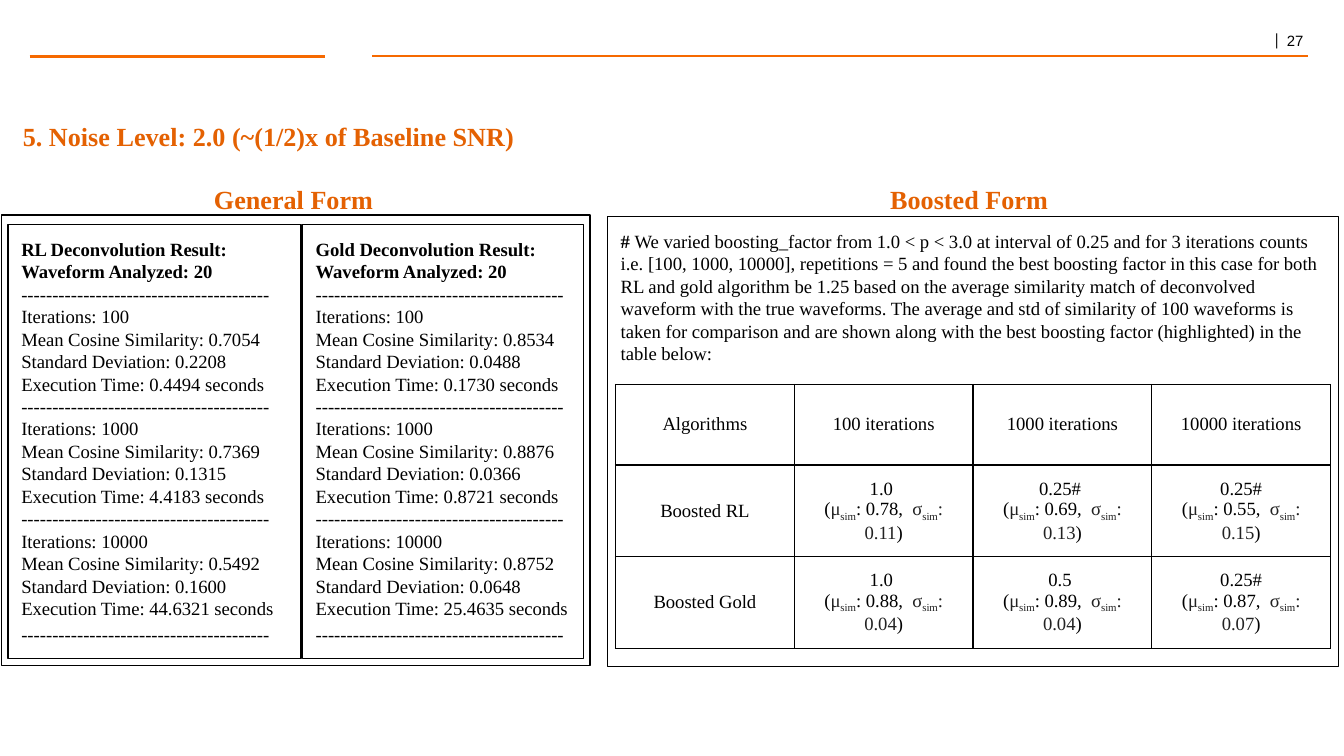
"""Build the slide comparing general and boosted deconvolution at noise level 2.0."""
from lxml import etree
from pptx import Presentation
from pptx import util as u
from pptx.dml.color import RGBColor
from pptx.enum import shapes, text
from pptx.oxml.ns import qn

COLORS = {"black": "000000", "gray": "222222", "heading": "E46102", "rule": "F66900"}
SERIF = "Times New Roman"
SLIDE_WIDTH = 10
SLIDE_HEIGHT = SLIDE_WIDTH * 9 / 16
TITLE = "5. Noise Level: 2.0 (~(1/2)x of Baseline SNR)"
PAGE_NUMBER = "27"
RULES = [(0.22, 2.42, 2), (2.77, 9.73, 1)]
HEADINGS = [("General Form", (0.07, 1.35, 4.23, 0.26)),
            ("Boosted Form ", (5.39, 1.26, 3.69, 0.44))]
DIVIDER = "-" * 40
MEASURES = ["Iterations: {}", "Mean Cosine Similarity: {}",
            "Standard Deviation: {}", "Execution Time: {} seconds"]
RESULTS = [
    ("RL", (0.06, 1.67, 2.18, 3.23),
     [("100", "0.7054", "0.2208", "0.4494"),
      ("1000", "0.7369", "0.1315", "4.4183"),
      ("10000", "0.5492", "0.1600", "44.6321")]),
    ("Gold", (2.25, 1.67, 2.09, 3.23),
     [("100", "0.8534", "0.0488", "0.1730"),
      ("1000", "0.8876", "0.0366", "0.8721"),
      ("10000", "0.8752", "0.0648", "25.4635")]),
]
BOOSTED_NOTE = (
    "We varied boosting_factor from 1.0 < p < 3.0 at interval of 0.25 and for 3 iterations "
    "counts i.e. [100, 1000, 10000], repetitions = 5 and found the best boosting factor in "
    "this case for both RL and gold algorithm be 1.25 based on the average similarity match "
    "of deconvolved waveform with the true waveforms. The average and std of similarity of "
    "100 waveforms is taken for comparison and are shown along with the best boosting factor "
    "(highlighted) in the table below:")
TABLE_HEADER = ["Algorithms", "100 iterations", "1000 iterations", "10000 iterations"]
TABLE_ROWS = [
    ("Boosted RL", [("1.0 ", "0.78", "0.11"), ("0.25# ", "0.69", "0.13"), ("0.25#", "0.55", "0.15")]),
    ("Boosted Gold", [("1.0 ", "0.88", "0.04"), ("0.5 ", "0.89", "0.04"), ("0.25#", "0.87", "0.07")]),
]
ROW_HEIGHTS = [0.6, 0.63, 0.63]
COLUMN_WIDTH = 1.33


def color(name):
    return RGBColor.from_string(COLORS[name])


def set_font(font, size, name="black", bold=False, family=SERIF):
    font.name, font.size, font.bold = family, u.Pt(size), bold
    font.color.rgb = color(name)


def set_frame(frame, anchor, margin=0.1):
    frame.word_wrap = True
    frame.auto_size = text.MSO_AUTO_SIZE.NONE
    frame.vertical_anchor = anchor
    frame.margin_left = frame.margin_right = u.Inches(margin)
    frame.margin_top = frame.margin_bottom = u.Inches(margin)


def add_box(slide, place):
    box = slide.shapes.add_shape(shapes.MSO_SHAPE.RECTANGLE, *map(u.Inches, place))
    box.shadow.inherit = False
    box.fill.background()
    box.line.color.rgb = color("black")
    box.line.width = u.Pt(0.75)
    set_frame(box.text_frame, text.MSO_ANCHOR.TOP)
    return box


def add_lines(frame, lines):
    for index, line in enumerate(lines):
        paragraph = frame.paragraphs[0] if index == 0 else frame.add_paragraph()
        paragraph.text = line
        paragraph.alignment = text.PP_ALIGN.LEFT
        set_font(paragraph.font, 10, bold=index < 2)
    paragraph.line_spacing = 1.15


def add_rule(slide, start, end, width):
    y = u.Inches(0.42)
    rule = slide.shapes.add_connector(
        shapes.MSO_CONNECTOR.STRAIGHT, u.Inches(start), y, u.Inches(end), y)
    rule.line.color.rgb = color("rule")
    rule.line.width = u.Pt(width)
    etree.SubElement(rule._element.spPr, qn("a:effectLst"))


def write_heading(shape, words, place, alignment):
    shape.left, shape.top, shape.width, shape.height = map(u.Inches, place)
    set_frame(shape.text_frame, text.MSO_ANCHOR.MIDDLE)
    paragraph = shape.text_frame.paragraphs[0]
    paragraph.text = words
    paragraph.alignment = alignment
    set_font(paragraph.font, 14, "heading", True)


def add_page_number(slide):
    box = slide.shapes.add_textbox(*map(u.Inches, (9.41, 0.21, 1.02, 0.2)))
    set_frame(box.text_frame, text.MSO_ANCHOR.TOP, 0.04)
    box.text_frame.margin_left = box.text_frame.margin_right = u.Inches(0.07)
    paragraph = box.text_frame.paragraphs[0]
    paragraph.line_spacing = 0.8
    for words, size, family in [("|  ", 9, "Cambria"), (PAGE_NUMBER, 8, "Arial")]:
        run = paragraph.add_run()
        run.text = words
        set_font(run.font, size, family=family)


def add_similarity(paragraph, mean, deviation):
    parts = [("(", "black", False), ("μ", "gray", False), ("sim", "gray", True),
             (f": {mean},  ", "black", False), ("σ", "gray", False), ("sim", "gray", True),
             (f": {deviation}", "gray", False), (")", "black", False)]
    for words, name, subscript in parts:
        run = paragraph.add_run()
        run.text = words
        set_font(run.font, 10, name)
        if subscript:
            run.font._element.set("baseline", "-25000")


def style_cell(cell):
    cell.fill.background()
    cell.vertical_anchor = text.MSO_ANCHOR.MIDDLE
    cell.margin_left = cell.margin_right = u.Inches(0.1)
    cell.margin_top = cell.margin_bottom = u.Inches(0.1)
    for paragraph in cell.text_frame.paragraphs:
        paragraph.alignment = text.PP_ALIGN.CENTER
        set_font(paragraph.font, 10)
    properties = cell._tc.get_or_add_tcPr()
    for index, side in enumerate(("a:lnL", "a:lnR", "a:lnT", "a:lnB")):
        border = etree.Element(qn(side), w=str(u.Pt(0.75)))
        fill = etree.SubElement(border, qn("a:solidFill"))
        etree.SubElement(fill, qn("a:srgbClr"), val=COLORS["black"])
        properties.insert(index, border)


def add_boosted_table(slide):
    columns = len(TABLE_HEADER)
    table = slide.shapes.add_table(
        len(ROW_HEIGHTS), columns, u.Inches(4.58), u.Inches(2.86),
        u.Inches(COLUMN_WIDTH * columns), u.Inches(sum(ROW_HEIGHTS))).table
    table.first_row = table.horz_banding = False
    for column in table.columns:
        column.width = u.Inches(COLUMN_WIDTH)
    for row, height in zip(table.rows, ROW_HEIGHTS):
        row.height = u.Inches(height)
    for index, words in enumerate(TABLE_HEADER):
        table.cell(0, index).text = words
    for row, (algorithm, results) in enumerate(TABLE_ROWS, 1):
        table.cell(row, 0).text = algorithm
        for column, (factor, mean, deviation) in enumerate(results, 1):
            frame = table.cell(row, column).text_frame
            frame.text = factor
            add_similarity(frame.add_paragraph(), mean, deviation)
    for cell in table.iter_cells():
        style_cell(cell)


def main():
    presentation = Presentation()
    presentation.slide_width = u.Inches(SLIDE_WIDTH)
    presentation.slide_height = u.Inches(SLIDE_HEIGHT)
    slide = presentation.slides.add_slide(presentation.slide_layouts[5])
    write_heading(slide.shapes.title, TITLE, (0.07, 0.88, 4.23, 0.26), text.PP_ALIGN.LEFT)
    add_page_number(slide)
    for rule in RULES:
        add_rule(slide, *rule)
    add_box(slide, (0.01, 1.6, 4.38, 3.35))
    for algorithm, place, groups in RESULTS:
        lines = [f"{algorithm} Deconvolution Result:", "Waveform Analyzed: 20", DIVIDER]
        for values in groups:
            lines += [label.format(value) for label, value in zip(MEASURES, values)]
            lines.append(DIVIDER)
        add_lines(add_box(slide, place).text_frame, lines)
    for words, place in HEADINGS:
        heading = slide.shapes.add_textbox(*map(u.Inches, place))
        write_heading(heading, words, place, text.PP_ALIGN.CENTER)
    paragraph = add_box(slide, (4.52, 1.61, 5.44, 3.35)).text_frame.paragraphs[0]
    paragraph.alignment = text.PP_ALIGN.LEFT
    for words, bold in [("# ", True), (BOOSTED_NOTE, False)]:
        run = paragraph.add_run()
        run.text = words
        set_font(run.font, 10, bold=bold)
    add_boosted_table(slide)
    presentation.save("out.pptx")


if __name__ == "__main__":
    main()
